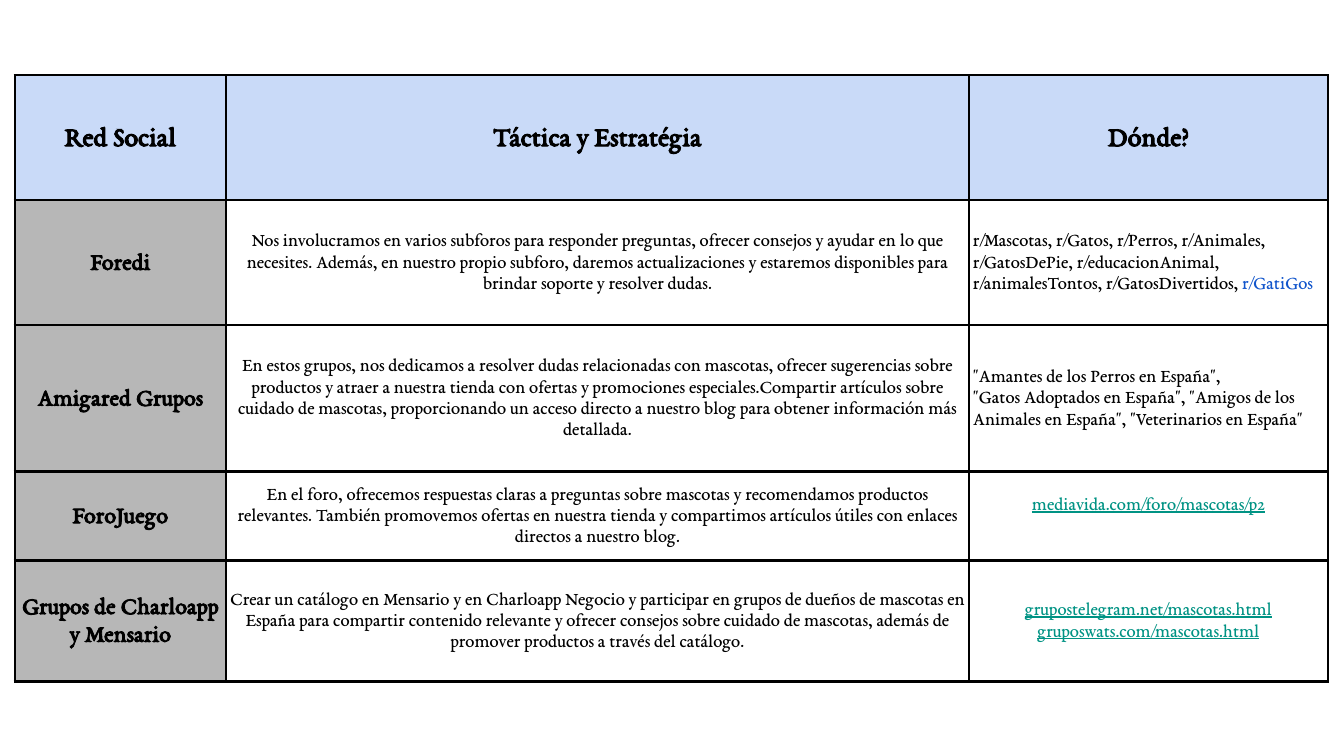
from lxml.etree import SubElement
from pptx import Presentation
from pptx.dml.color import RGBColor
from pptx.enum.text import MSO_ANCHOR, PP_ALIGN
from pptx.oxml.ns import qn
from pptx.util import Inches, Pt

COLORS = {
    "black": "000000",
    "header": "C9DAF8",
    "network": "B7B7B7",
    "forum": "1155CC",
    "link": "009384",
}
FONT = "EB Garamond"
COLUMN_WIDTHS = [1.57, 5.53, 2.67]
ROW_HEIGHTS = [0.93, 0.93, 1.09, 0.66, 0.9]
CELL_MARGIN = 0.03

HEADERS = ["Red Social", "Táctica y Estratégia", "Dónde?"]
NETWORKS = [
    (
        "Foredi",
        "Nos involucramos en varios subforos para responder preguntas, ofrecer consejos y ayudar "
        "en lo que necesites. Además, en nuestro propio subforo, daremos actualizaciones y "
        "estaremos disponibles para brindar soporte y resolver dudas.",
        [[
            ("r/Mascotas, r/Gatos, r/Perros, r/Animales, r/GatosDePie, r/educacionAnimal, "
             "r/animalesTontos, r/GatosDivertidos, ", "black"),
            ("r/GatiGos", "forum"),
        ]],
    ),
    (
        "Amigared Grupos",
        "En estos grupos, nos dedicamos a resolver dudas relacionadas con mascotas, ofrecer "
        "sugerencias sobre productos y atraer a nuestra tienda con ofertas y promociones "
        "especiales.Compartir artículos sobre cuidado de mascotas, proporcionando un acceso "
        "directo a nuestro blog para obtener información más detallada.",
        [
            [('"Amantes de los Perros en España",', "black")],
            [('"Gatos Adoptados en España", "Amigos de los Animales en España", '
              '"Veterinarios en España"', "black")],
        ],
    ),
    (
        "ForoJuego",
        "En el foro, ofrecemos respuestas claras a preguntas sobre mascotas y recomendamos "
        "productos relevantes. También promovemos ofertas en nuestra tienda y compartimos "
        "artículos útiles con enlaces directos a nuestro blog.",
        [[("mediavida.com/foro/mascotas/p2", "link")]],
    ),
    (
        "Grupos de Charloapp y Mensario",
        "Crear un catálogo en Mensario y en Charloapp Negocio y participar en grupos de dueños de "
        "mascotas en España para compartir contenido relevante y ofrecer consejos sobre cuidado "
        "de mascotas, además de promover productos a través del catálogo.",
        [
            [("grupostelegram.net/mascotas.html", "link")],
            [("gruposwats.com/mascotas.html", "link")],
        ],
    ),
]


def style_cell(cell, fill):
    cell.vertical_anchor = MSO_ANCHOR.MIDDLE
    cell.margin_left = cell.margin_right = Inches(CELL_MARGIN)
    cell.margin_top = cell.margin_bottom = Inches(CELL_MARGIN)
    properties = cell._tc.get_or_add_tcPr()
    for side in ("a:lnL", "a:lnR", "a:lnT", "a:lnB"):
        line = SubElement(properties, qn(side), w=str(Pt(1.5)))
        solid = SubElement(line, qn("a:solidFill"))
        SubElement(solid, qn("a:srgbClr"), val=COLORS["black"])
    if fill:
        cell.fill.solid()
        cell.fill.fore_color.rgb = RGBColor.from_string(COLORS[fill])
    else:
        cell.fill.background()


def write_cell(cell, paragraphs, size, bold, alignment):
    frame = cell.text_frame
    for index, spans in enumerate(paragraphs):
        para = frame.paragraphs[0] if index == 0 else frame.add_paragraph()
        para.alignment = alignment
        para.line_spacing = 1.15
        for text, color in spans:
            span = para.add_run()
            span.text = text
            span.font.name = FONT
            span.font.size = Pt(size)
            span.font.bold = bold
            span.font.underline = color == "link"
            span.font.color.rgb = RGBColor.from_string(COLORS[color])


deck = Presentation()
deck.slide_width = Inches(10)
deck.slide_height = Inches(10 * 9 / 16)
page = deck.slides.add_slide(deck.slide_layouts[6])

table = page.shapes.add_table(
    len(ROW_HEIGHTS), len(COLUMN_WIDTHS), Inches(0.11), Inches(0.56),
    Inches(sum(COLUMN_WIDTHS)), Inches(sum(ROW_HEIGHTS)),
).table
table.horz_banding = False
for column, width in zip(table.columns, COLUMN_WIDTHS):
    column.width = Inches(width)
for row, height in zip(table.rows, ROW_HEIGHTS):
    row.height = Inches(height)

for column, header in enumerate(HEADERS):
    cell = table.cell(0, column)
    style_cell(cell, "header")
    write_cell(cell, [[(header, "black")]], 15, True, PP_ALIGN.CENTER)

for row, (network, tactic, places) in enumerate(NETWORKS, start=1):
    network_cell, tactic_cell, place_cell = table.rows[row].cells
    style_cell(network_cell, "network")
    style_cell(tactic_cell, None)
    style_cell(place_cell, None)
    write_cell(network_cell, [[(network, "black")]], 13, True, PP_ALIGN.CENTER)
    write_cell(tactic_cell, [[(tactic, "black")]], 10, False, PP_ALIGN.CENTER)
    is_link = places[0][0][1] == "link"
    write_cell(place_cell, places, 10, False, PP_ALIGN.CENTER if is_link else PP_ALIGN.LEFT)

table.cell(3, 2).margin_bottom = Inches(0.19)

deck.save("out.pptx")
